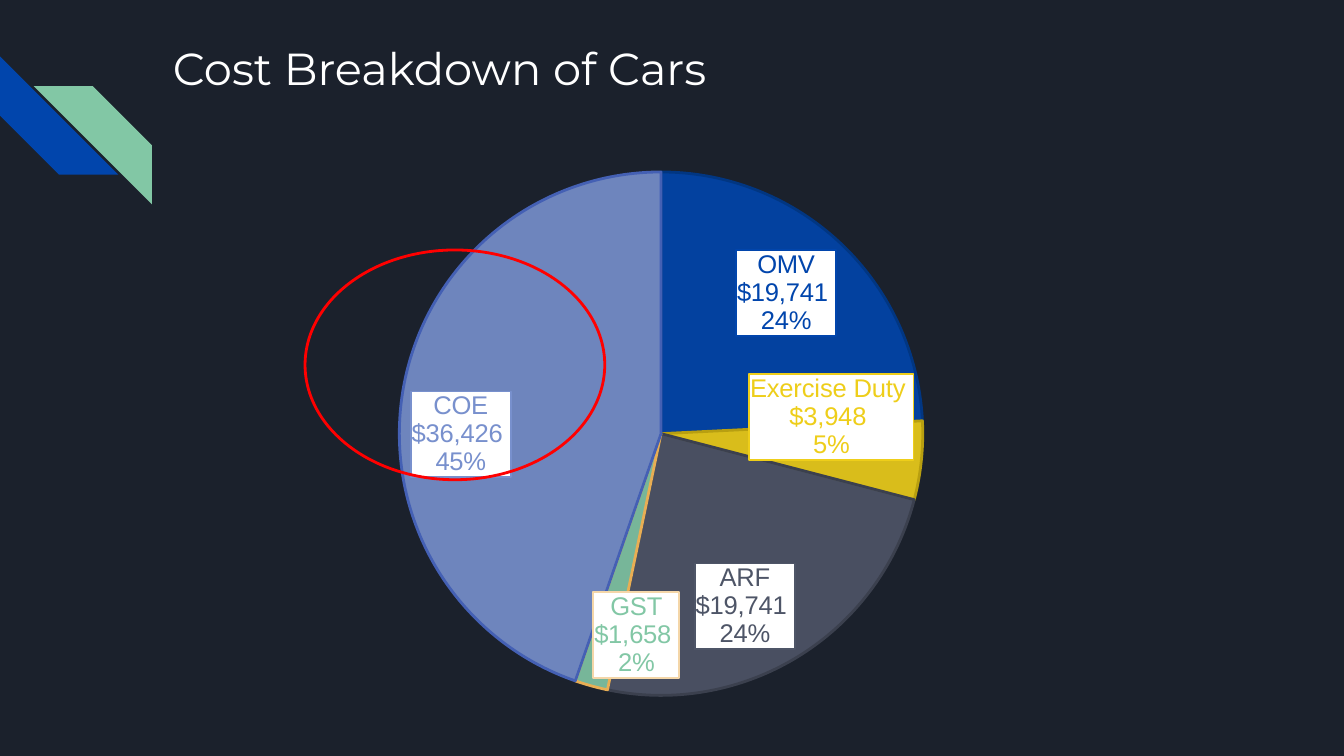
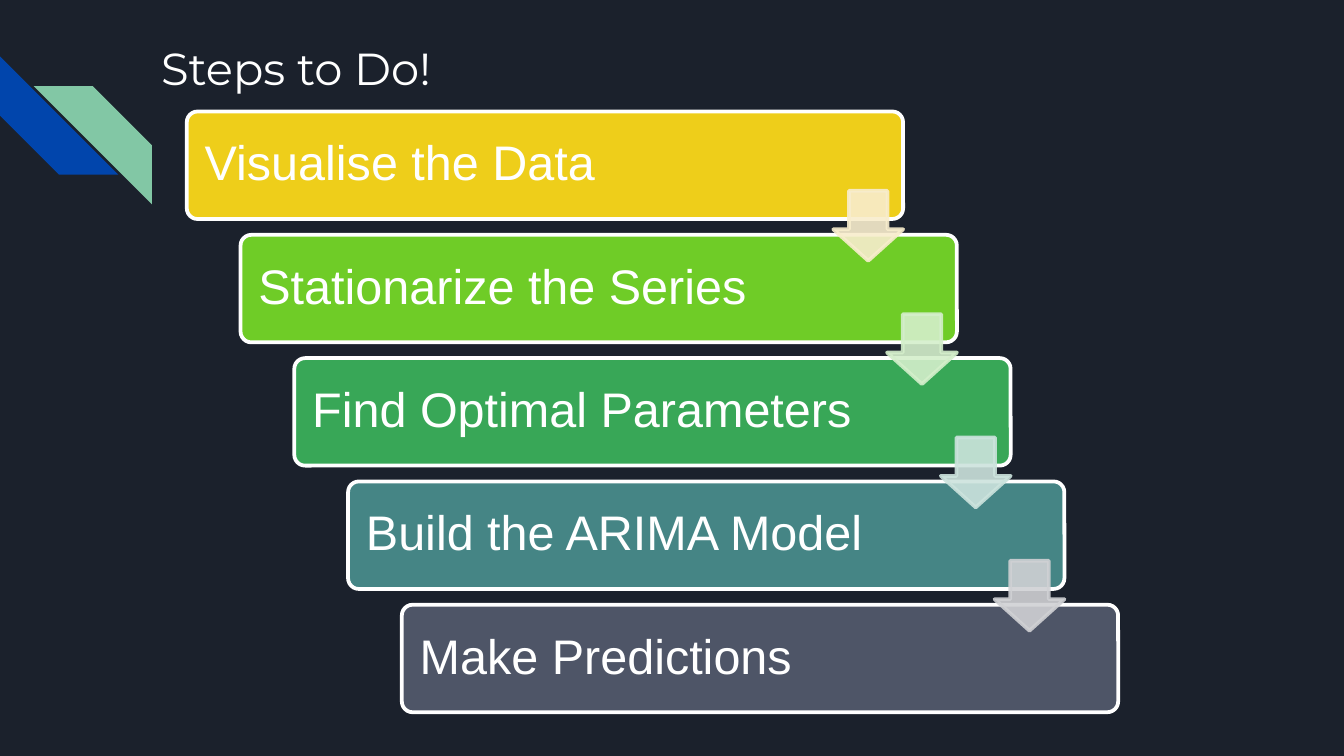
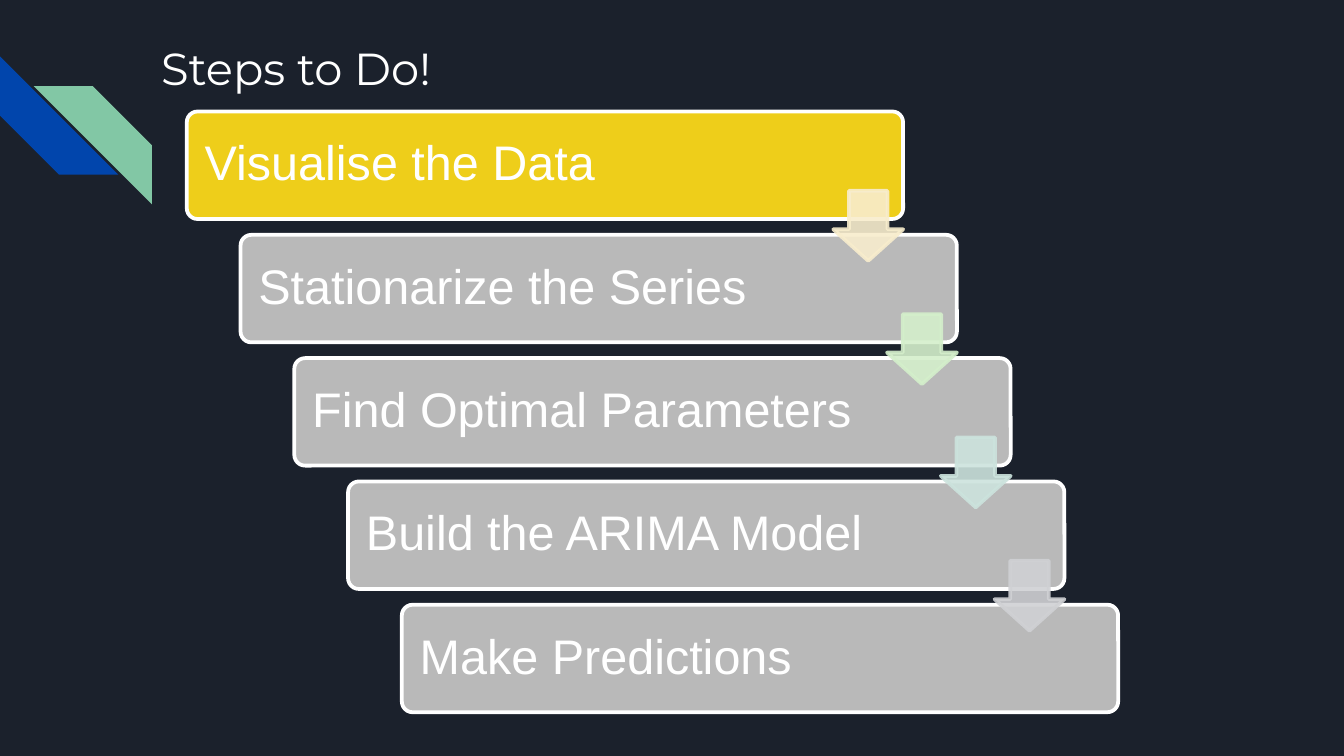
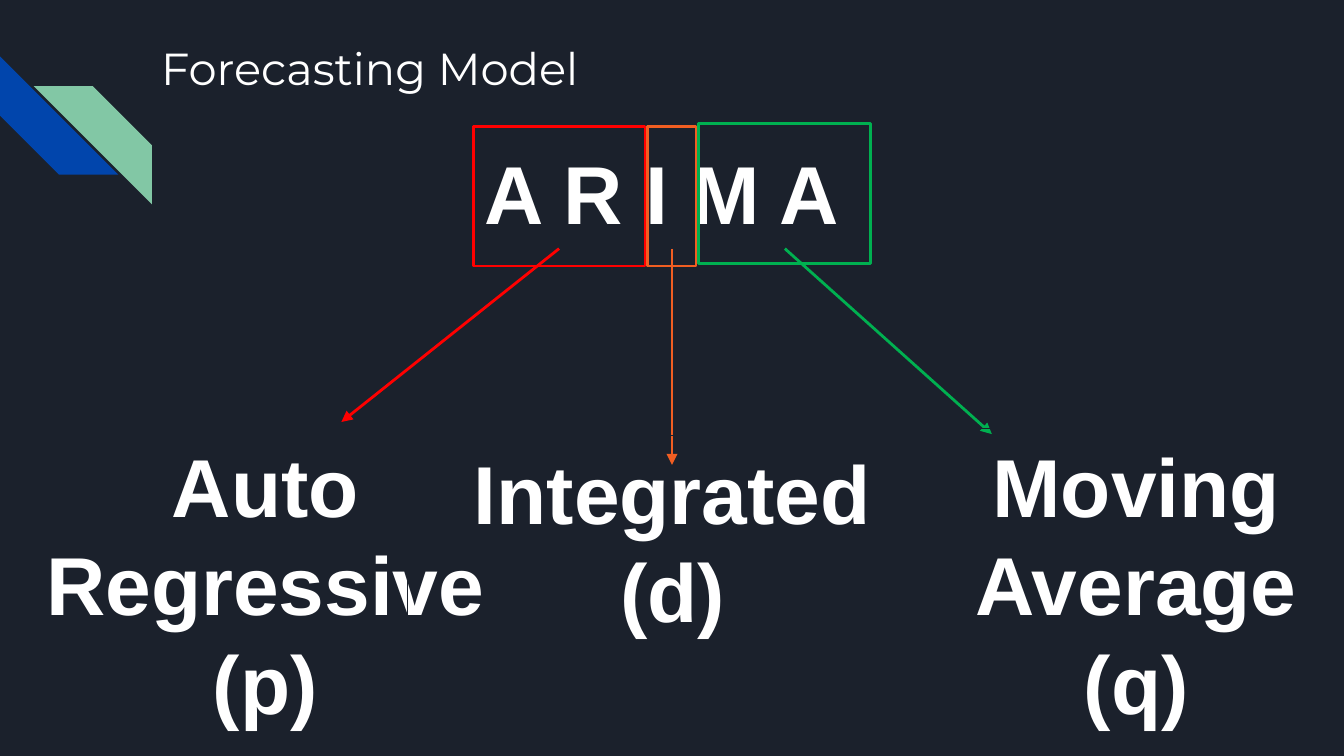
from dataclasses import dataclass

from pptx import Presentation
from pptx import util as u
from pptx.chart.data import CategoryChartData
from pptx.dml.color import RGBColor
from pptx.enum import chart as charts
from pptx.enum import shapes, text
from pptx.oxml import ns, xmlchemy
from pptx.shapes.autoshape import Shape
from pptx.slide import Slide

NAVY = RGBColor(0x1B, 0x21, 0x2C)
WHITE = RGBColor(0xFF, 0xFF, 0xFF)
BLUE = RGBColor(0x01, 0x45, 0xAC)
MINT = RGBColor(0x82, 0xC7, 0xA5)
YELLOW = RGBColor(0xEE, 0xCE, 0x1A)
SLATE = RGBColor(0x4E, 0x55, 0x67)
PERIWINKLE = RGBColor(0x78, 0x90, 0xCD)
LIME = RGBColor(0x6F, 0xCC, 0x27)
LEAF = RGBColor(0x38, 0xA7, 0x57)
TEAL = RGBColor(0x45, 0x85, 0x85)
GREY = RGBColor(0xB9, 0xB9, 0xB9)
RED = RGBColor(0xFF, 0x00, 0x00)
GREEN = RGBColor(0x00, 0xB0, 0x50)
ORANGE = RGBColor(0xF1, 0x5E, 0x22)
DARK_BLUE = RGBColor(0x01, 0x36, 0x82)
DARK_YELLOW = RGBColor(0xB8, 0x9F, 0x10)
DARK_SLATE = RGBColor(0x3B, 0x40, 0x4E)
AMBER = RGBColor(0xE8, 0xAE, 0x54)
PALE_AMBER = RGBColor(0xF4, 0xD6, 0xA8)
INDIGO = RGBColor(0x44, 0x60, 0xB4)
PALE_YELLOW = RGBColor(0xF8, 0xED, 0xCD)
PALE_LIME = RGBColor(0xD4, 0xEF, 0xCB)
PALE_TEAL = RGBColor(0xCC, 0xE3, 0xDD)
PALE_GREY = RGBColor(0xD0, 0xD1, 0xD4)

BODY_FONT = "Arial"
TITLE_FONT = "Montserrat"
DOLLARS = '"$"#,##0_);[Red]\\("$"#,##0\\)'
PRESET = shapes.MSO_SHAPE
ALIGN = text.PP_ALIGN
SLIDE_WIDTH = u.Inches(10)
SLIDE_HEIGHT = SLIDE_WIDTH * 9 // 16
STEP_SHIFT = 0.4
STEP_DROP = (4.5 - 0.83) / 4


@dataclass(frozen=True)
class Box:
    left: float
    top: float
    width: float
    height: float

    def lengths(self) -> list[u.Length]:
        return [u.Inches(n) for n in (self.left, self.top, self.width, self.height)]


@dataclass(frozen=True)
class Cost:
    name: str
    dollars: int
    fill: RGBColor
    outline: RGBColor
    label_border: RGBColor


@dataclass(frozen=True)
class Step:
    name: str
    fill: RGBColor


@dataclass(frozen=True)
class Term:
    name: str
    symbol: str
    box: Box


@dataclass(frozen=True)
class Arrow:
    start: tuple[float, float]
    end: tuple[float, float]
    color: RGBColor


COSTS = [
    Cost("OMV", 19741, BLUE, DARK_BLUE, BLUE),
    Cost("Exercise Duty ", 3948, YELLOW, DARK_YELLOW, YELLOW),
    Cost("ARF", 19741, SLATE, DARK_SLATE, SLATE),
    Cost("GST", 1658, MINT, AMBER, PALE_AMBER),
    Cost("COE", 36426, PERIWINKLE, INDIGO, PERIWINKLE),
]
STEPS = [
    Step("Visualise the Data", YELLOW),
    Step("Stationarize the Series", LIME),
    Step("Find Optimal Parameters", LEAF),
    Step("Build the ARIMA Model", TEAL),
    Step("Make Predictions", SLATE),
]
STEP_ARROWS = [PALE_YELLOW, PALE_LIME, PALE_TEAL, PALE_GREY]
LETTER_FRAMES = [
    (Box(3.52, 0.94, 1.28, 1.04), RED),
    (Box(5.2, 0.92, 1.28, 1.04), GREEN),
    (Box(4.82, 0.94, 0.36, 1.04), ORANGE),
]
ARROWS = [
    Arrow((4.16, 1.85), (2.54, 3.14), RED),
    Arrow((5, 1.85), (5, 3.46), ORANGE),
    Arrow((5.84, 1.85), (7.38, 3.23), GREEN),
]
TERMS = [
    Term("Auto Regressive", "(p)", Box(0, 3.19, 3.95, 2.32)),
    Term("Integrated", "(d)", Box(3.03, 3.24, 3.95, 1.58)),
    Term("Moving Average", "(q)", Box(6.48, 3.19, 3.95, 2.32)),
]


def make_element(tag: str, **attributes: str):
    element = xmlchemy.OxmlElement(tag)
    for name, value in attributes.items():
        element.set(name, value)
    return element


def set_opacity(colors, percent: int) -> None:
    for color in colors:
        color.append(make_element("a:alpha", val=str(percent * 1000)))


def add_shape(
    slide: Slide,
    preset: shapes.MSO_SHAPE,
    box: Box,
    fill: RGBColor | None = None,
    line: RGBColor | None = None,
    weight: float = 1.5,
) -> Shape:
    shape = slide.shapes.add_shape(preset, *box.lengths())
    shape.shadow.inherit = False
    if fill is None:
        shape.fill.background()
    else:
        shape.fill.solid()
        shape.fill.fore_color.rgb = fill
    if line is None:
        shape.line.fill.background()
    else:
        shape.line.color.rgb = line
        shape.line.width = u.Pt(weight)
    return shape


def write_text(
    shape: Shape,
    lines: list[str],
    size: float,
    spacing: float,
    align: text.PP_ALIGN = ALIGN.LEFT,
    font: str = BODY_FONT,
    bold: bool = False,
) -> None:
    for index, line in enumerate(lines):
        frame = shape.text_frame
        paragraph = frame.add_paragraph() if index else frame.paragraphs[0]
        paragraph.text = line
        paragraph.alignment = align
        paragraph.line_spacing = spacing
        paragraph.font.name = font
        paragraph.font.size = u.Pt(size)
        paragraph.font.bold = bold
        paragraph.font.color.rgb = WHITE


def set_margins(shape: Shape, margin: float) -> None:
    frame = shape.text_frame
    frame.margin_left = frame.margin_right = u.Inches(margin)
    frame.margin_top = frame.margin_bottom = u.Inches(margin)


def add_slide(presentation: Presentation) -> Slide:
    slide = presentation.slides.add_slide(presentation.slide_layouts[6])
    slide.background.fill.solid()
    slide.background.fill.fore_color.rgb = NAVY
    blue_stripe = add_shape(slide, PRESET.DIAGONAL_STRIPE, Box(0, 0.42, 0.88, 0.88), BLUE)
    blue_stripe.rotation = 270
    mint_stripe = add_shape(slide, PRESET.DIAGONAL_STRIPE, Box(0.25, 0.64, 0.88, 0.88), MINT)
    mint_stripe._element.spPr.xfrm.set("flipH", "1")
    return slide


def add_title(
    slide: Slide, title: str, width: float = 6.28, align: text.PP_ALIGN = ALIGN.LEFT
) -> None:
    box = slide.shapes.add_textbox(*Box(1.1, 0, width, 0.84).lengths())
    box.text_frame.word_wrap = True
    set_margins(box, 0.1)
    write_text(box, [title], 24, 1.5, align, TITLE_FONT)


def set_plot_area(chart) -> None:
    layout = make_element("c:manualLayout")
    settings = {
        "layoutTarget": "inner",
        "xMode": "edge",
        "yMode": "edge",
        "x": "0.023",
        "y": "0.108",
        "w": "0.977",
        "h": "0.779",
    }
    for name, value in settings.items():
        layout.append(make_element(f"c:{name}", val=value))
    plot_area = chart._chartSpace.find(".//" + ns.qn("c:plotArea"))
    for existing in plot_area.findall(ns.qn("c:layout")):
        plot_area.remove(existing)
    holder = make_element("c:layout")
    holder.append(layout)
    plot_area.insert(0, holder)


def solid_fill(color: RGBColor):
    fill = make_element("a:solidFill")
    fill.append(make_element("a:srgbClr", val=str(color)))
    return fill


def style_label(label, border: RGBColor) -> None:
    for existing in label.findall(ns.qn("c:spPr")):
        label.remove(existing)
    properties = make_element("c:spPr")
    line = make_element("a:ln", w=str(u.Pt(1)))
    line.append(solid_fill(border))
    properties.extend([solid_fill(WHITE), line])
    label.find(ns.qn("c:txPr")).addprevious(properties)
    for flag in ("showVal", "showCatName", "showPercent"):
        label.find(ns.qn(f"c:{flag}")).set("val", "1")
    separator = make_element("c:separator")
    separator.text = "\n"
    label.append(separator)


def add_cost_chart(slide: Slide) -> None:
    data = CategoryChartData(number_format=DOLLARS)
    data.categories = [cost.name for cost in COSTS]
    data.add_series("Series 1", [cost.dollars for cost in COSTS])
    frame = slide.shapes.add_chart(
        charts.XL_CHART_TYPE.PIE, *Box(0.97, 0.74, 7.72, 5).lengths(), data
    )
    chart = frame.chart
    chart.has_legend = False
    chart.has_title = False
    chart.font.name = BODY_FONT
    chart.font.size = u.Pt(10)
    chart.font.color.rgb = NAVY
    set_plot_area(chart)
    plot = chart.plots[0]
    plot.vary_by_categories = True
    series = plot.series[0]
    labels = series.data_labels
    labels.show_value = False
    labels.show_category_name = True
    labels.show_percentage = True
    labels.position = charts.XL_LABEL_POSITION.INSIDE_END
    for index, cost in enumerate(COSTS):
        point = series.points[index]
        point.format.fill.solid()
        point.format.fill.fore_color.rgb = cost.fill
        point.format.line.color.rgb = cost.outline
        point.format.line.width = u.Pt(1.5)
        label = point.data_label
        label.font.name = BODY_FONT
        label.font.size = u.Pt(13.7)
        label.font.color.rgb = cost.fill
        label.position = charts.XL_LABEL_POSITION.INSIDE_END
    element = series._element
    set_opacity(element.xpath("c:dPt/c:spPr/a:solidFill/a:srgbClr"), 90)
    for label, cost in zip(element.xpath("c:dLbls/c:dLbl"), COSTS):
        style_label(label, cost.label_border)


def add_steps(slide: Slide, highlighted: set[int]) -> None:
    for index, step in enumerate(STEPS):
        box = Box(1.39 + STEP_SHIFT * index, 0.83 + STEP_DROP * index, 5.33, 0.8)
        fill = step.fill if index in highlighted else GREY
        bar = add_shape(slide, PRESET.ROUNDED_RECTANGLE, box, fill, WHITE, 2)
        bar.adjustments[0] = 0.1
        bar.text_frame.vertical_anchor = text.MSO_ANCHOR.MIDDLE
        set_margins(bar, 0.11)
        write_text(bar, [step.name], 26, 0.9)
    for index, color in enumerate(STEP_ARROWS):
        box = Box(6.2 + STEP_SHIFT * index, 1.42 + STEP_DROP * index, 0.52, 0.52)
        arrow = add_shape(slide, PRESET.DOWN_ARROW, box, color, color, 2)
        arrow.adjustments[0] = 0.55
        arrow.adjustments[1] = 0.45
        set_opacity(arrow._element.spPr.iter(ns.qn("a:srgbClr")), 90)


def add_big_text(slide: Slide, box: Box, lines: list[str]) -> Shape:
    shape = add_shape(slide, PRESET.RECTANGLE, box, line=NAVY, weight=0.75)
    frame = shape.text_frame
    frame.word_wrap = True
    frame.auto_size = text.MSO_AUTO_SIZE.SHAPE_TO_FIT_TEXT
    frame.vertical_anchor = text.MSO_ANCHOR.TOP
    write_text(shape, lines, 44, 1.0, ALIGN.CENTER, bold=True)
    return shape


def add_arrow(slide: Slide, arrow: Arrow):
    points = [u.Inches(n) for n in (*arrow.start, *arrow.end)]
    connector = slide.shapes.add_connector(shapes.MSO_CONNECTOR.STRAIGHT, *points)
    connector.line.color.rgb = arrow.color
    connector.line.width = u.Pt(1.5)
    connector.line._get_or_add_ln().append(make_element("a:tailEnd", type="triangle"))
    connector._element.spPr.append(make_element("a:effectLst"))
    return connector


def build_cost_slide(presentation: Presentation) -> None:
    slide = add_slide(presentation)
    add_cost_chart(slide)
    add_title(slide, "Cost Breakdown of Cars", 4.34, ALIGN.CENTER)
    add_shape(slide, PRESET.OVAL, Box(2.27, 1.86, 2.23, 1.71), line=RED)


def build_steps_slide(presentation: Presentation, highlighted: set[int]) -> None:
    slide = add_slide(presentation)
    add_title(slide, "Steps to Do!")
    add_steps(slide, highlighted)


def build_model_slide(presentation: Presentation) -> None:
    slide = add_slide(presentation)
    add_title(slide, "Forecasting Model")
    acronym = add_big_text(slide, Box(3.03, 1.01, 3.94, 0.84), ["A R I M A "])
    for box, color in LETTER_FRAMES:
        add_shape(slide, PRESET.RECTANGLE, box, line=color)
    connectors = [add_arrow(slide, arrow) for arrow in ARROWS]
    connectors[1].begin_connect(acronym, 2)
    for term in TERMS:
        add_big_text(slide, term.box, [term.name, term.symbol])


def main() -> None:
    presentation = Presentation()
    presentation.slide_width = SLIDE_WIDTH
    presentation.slide_height = SLIDE_HEIGHT
    build_cost_slide(presentation)
    build_steps_slide(presentation, set(range(len(STEPS))))
    build_steps_slide(presentation, {0})
    build_model_slide(presentation)
    presentation.save("out.pptx")


if __name__ == "__main__":
    main()
